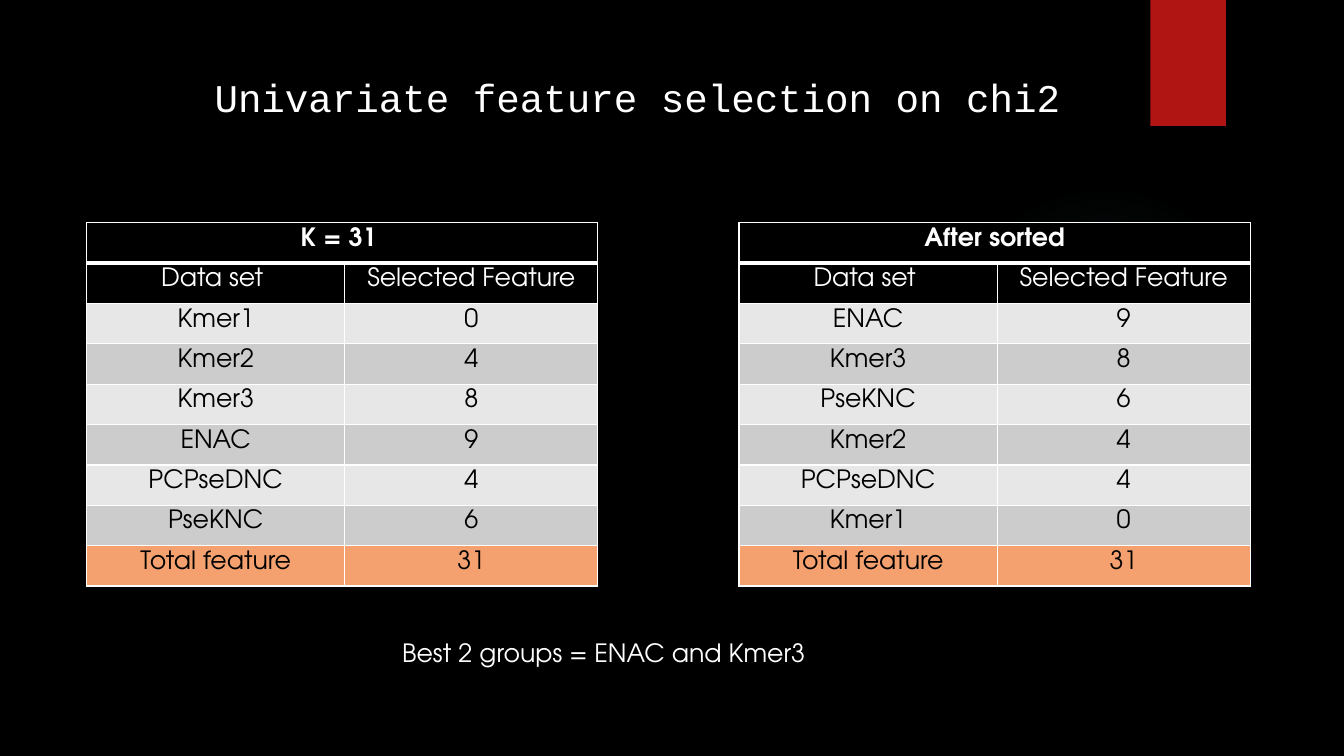
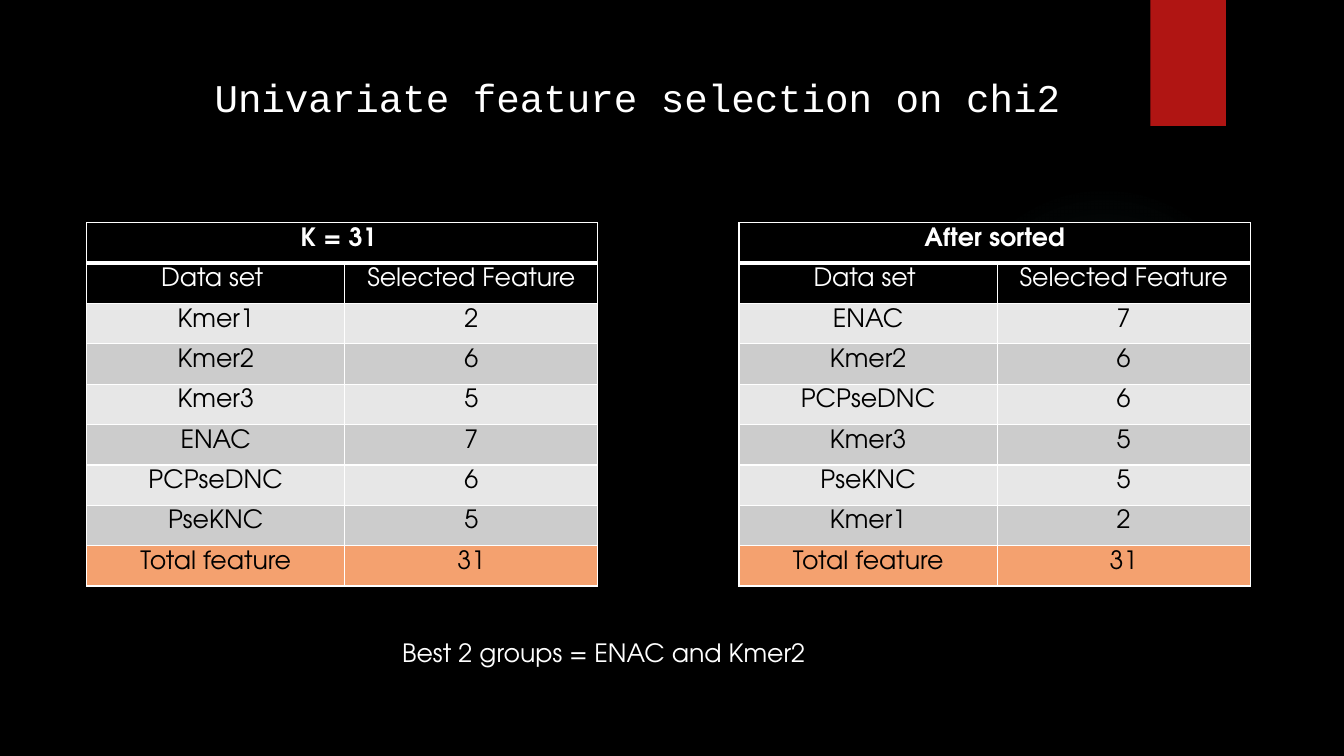
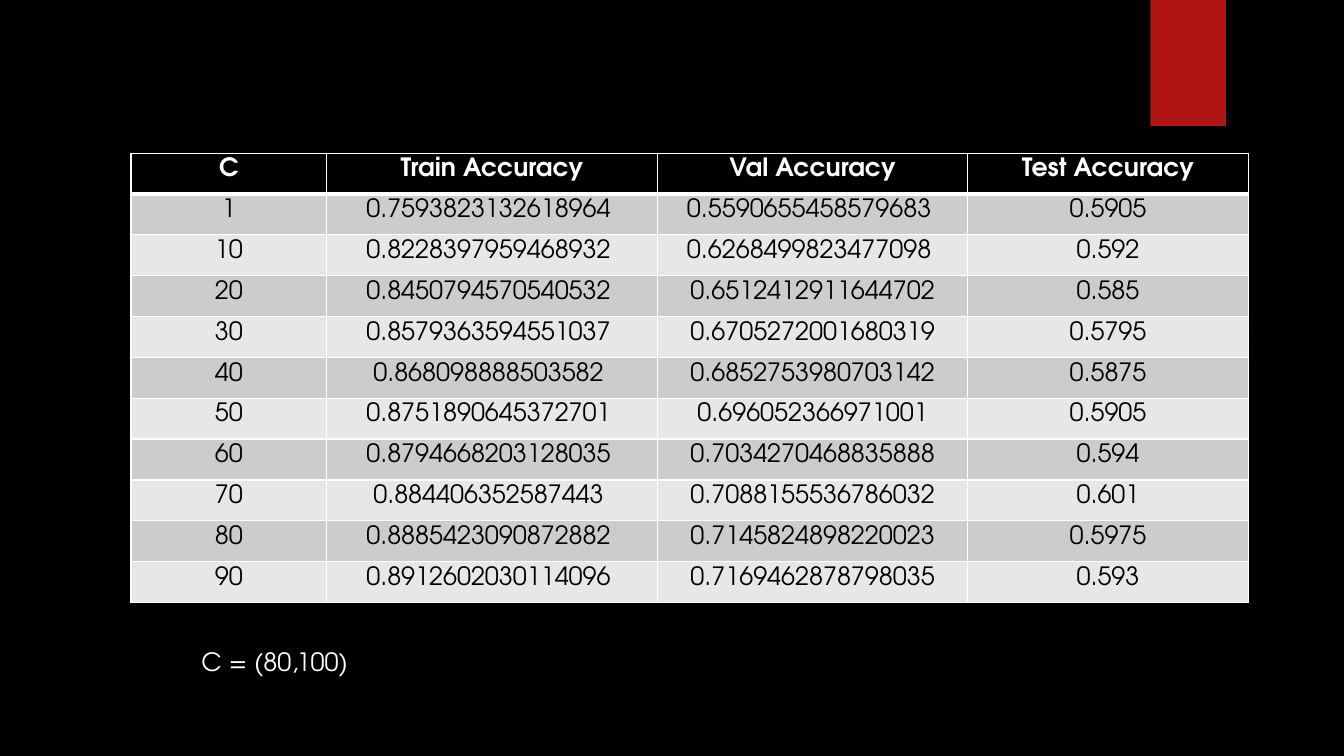
from itertools import cycle, islice

from lxml import etree
from pptx import Presentation
from pptx.dml.color import RGBColor
from pptx.enum.shapes import MSO_SHAPE as Shape
from pptx.enum.text import MSO_AUTO_SIZE as AutoSize, PP_ALIGN as Align
from pptx.oxml import parse_xml
from pptx.oxml.ns import nsdecls, qn
from pptx.util import Inches, Pt

BLACK, WHITE, RED, TEAL = "000000", "FFFFFF", "B01513", "50B9C1"
LIGHT, GREY, ORANGE = "E7E7E7", "CCCCCC", "F4A16F"
BODY_FONT, TITLE_FONT = "TeX Gyre Adventor", "Courier New"

TITLE = "Univariate feature selection on chi2"
DATA_SETS = ["Kmer1", "Kmer2", "Kmer3", "ENAC", "PCPseDNC", "PseKNC"]
SELECTIONS = [[0, 4, 8, 9, 4, 6], [2, 6, 5, 7, 6, 5]]
FEATURE_COLUMNS = [2.56, 2.51]
FEATURE_LEFTS = [0.86, 7.33]

ACCURACY_COLUMNS = [1.94, 3.28, 3.08, 2.78]
ACCURACY = [
    ("C", "Train Accuracy", "Val Accuracy", "Test Accuracy"),
    ("1", "0.7593823132618964 ", "0.5590655458579683 ", "0.5905"),
    ("10", "0.8228397959468932 ", "0.6268499823477098 ", "0.592"),
    ("20", "0.8450794570540532 ", "0.6512412911644702", "0.585"),
    ("30", "0.8579363594551037 ", "0.6705272001680319", "0.5795"),
    ("40", "0.868098888503582 ", "0.6852753980703142", "0.5875"),
    ("50", "0.8751890645372701 ", "0.696052366971001", "0.5905"),
    ("60", "0.8794668203128035 ", "0.7034270468835888", "0.594"),
    ("70", "0.884406352587443 ", "0.7088155536786032", "0.601"),
    ("80", "0.8885423090872882 ", "0.7145824898220023", "0.5975"),
    ("90", "0.8912602030114096 ", "0.7169462878798035", "0.593"),
]


def rgb(value):
    return RGBColor.from_string(value)


def add_span(para, text, color=WHITE, size=18, font=BODY_FONT, bold=False):
    span = para.add_run()
    span.text = text
    span.font.name, span.font.size, span.font.bold = font, Pt(size), bold
    span.font.color.rgb = rgb(color)


def add_plain_shape(page, kind, left, top, width, height, color):
    shape = page.shapes.add_shape(kind, *map(Inches, (left, top, width, height)))
    shape.shadow.inherit = False
    shape.fill.solid()
    shape.fill.fore_color.rgb = rgb(color)
    shape.line.fill.background()
    return shape


def add_page(deck):
    """Add a slide with the shared faint glow and red band."""
    page = deck.slides.add_slide(deck.slide_layouts[6])
    glow = add_plain_shape(page, Shape.OVAL, 9.41, 1.83, 3.08, 3.08, TEAL)
    stops = "".join(
        f'<a:gs pos="{share * 1000}"><a:srgbClr val="{TEAL}">'
        f'<a:alpha val="{alpha * 1000}"/></a:srgbClr></a:gs>'
        for share, alpha in [(0, 7), (36, 6), (69, 0), (100, 0)])
    solid = glow.fill._xPr.find(qn("a:solidFill"))
    solid.getparent().replace(solid, parse_xml(
        f'<a:gradFill {nsdecls("a")}><a:gsLst>{stops}</a:gsLst><a:path path="circle">'
        '<a:fillToRect l="50000" t="50000" r="50000" b="50000"/></a:path></a:gradFill>'))
    add_plain_shape(page, Shape.RECTANGLE, 11.41, 0, 0.75, 1.25, RED)
    return page


def add_text(page, left, top, width, height, text, wrap=True, spacing=None, **style):
    box = page.shapes.add_textbox(*map(Inches, (left, top, width, height)))
    frame = box.text_frame
    frame.word_wrap = wrap
    frame.auto_size = AutoSize.SHAPE_TO_FIT_TEXT
    para = frame.paragraphs[0]
    para.line_spacing = spacing
    add_span(para, text, **style)


def set_borders(cell, top, bottom):
    """Draw white edges; top and bottom are widths in points."""
    props = cell._tc.get_or_add_tcPr()
    for place, (side, width) in enumerate(zip("LRTB", (1, 1, top, bottom))):
        edge = etree.Element(qn(f"a:ln{side}"), w=str(Pt(width)))
        fill = etree.SubElement(edge, qn("a:solidFill"))
        etree.SubElement(fill, qn("a:srgbClr"), val=WHITE)
        props.insert(place, edge)


def add_grid(page, left, top, columns, row_height, rows, fills):
    """Add a table with one fill per row; a one-cell row spans the width."""
    table = page.shapes.add_table(
        len(rows), len(columns), Inches(left), Inches(top),
        Inches(sum(columns)), Inches(row_height * len(rows))).table
    table.horz_banding = False
    for column, width in zip(table.columns, columns):
        column.width = Inches(width)
    for r, (texts, fill) in enumerate(zip(rows, fills)):
        table.rows[r].height = Inches(row_height)
        for c in range(len(columns)):
            cell = table.cell(r, c)
            cell.fill.solid()
            cell.fill.fore_color.rgb = rgb(fill)
            set_borders(cell, 3 if r == 1 else 1, 3 if r == 0 else 1)
        if len(texts) == 1:
            table.cell(r, 0).merge(table.cell(r, len(columns) - 1))
        for c, text in enumerate(texts):
            para = table.cell(r, c).text_frame.paragraphs[0]
            para.alignment = Align.CENTER
            add_span(para, text, WHITE if fill == BLACK else BLACK, bold=r == 0)


def add_selection_page(deck, counts):
    page = add_page(deck)
    add_text(page, 2.03, 0.44, 8.66, 0.81, TITLE, wrap=False, spacing=1.5,
             size=28, font=TITLE_FONT)
    pairs = list(zip(DATA_SETS, counts))
    ranked = sorted(pairs, key=lambda pair: -pair[1])
    total = sum(counts)
    fills = [BLACK, BLACK, *islice(cycle([LIGHT, GREY]), len(pairs)), ORANGE]
    for left, heading, body in zip(
            FEATURE_LEFTS, (f"K = {total} ", "After sorted"), (pairs, ranked)):
        rows = [(heading,), ("Data set ", "Selected Feature"),
                *((name, str(count)) for name, count in body),
                ("Total feature", str(total))]
        add_grid(page, left, 2.21, FEATURE_COLUMNS, 0.4, rows, fills)
    best = " and ".join(name for name, _ in ranked[:2])
    add_text(page, 3.89, 6.27, 5.64, 0.4, f"Best 2 groups = {best}")


def add_accuracy_page(deck):
    page = add_page(deck)
    fills = [BLACK, *islice(cycle([GREY, LIGHT]), len(ACCURACY) - 1)]
    add_grid(page, 1.3, 1.52, ACCURACY_COLUMNS, 4.46 / len(ACCURACY), ACCURACY, fills)
    add_text(page, 1.9, 6.36, 2.85, 0.4, "C = (80,100)")


def main():
    deck = Presentation()
    deck.slide_width, deck.slide_height = Inches(13.33), Inches(7.5)
    backdrop = deck.slide_master.background.fill
    backdrop.solid()
    backdrop.fore_color.rgb = rgb(BLACK)
    for counts in SELECTIONS:
        add_selection_page(deck, counts)
    add_accuracy_page(deck)
    deck.save("out.pptx")


if __name__ == "__main__":
    main()
